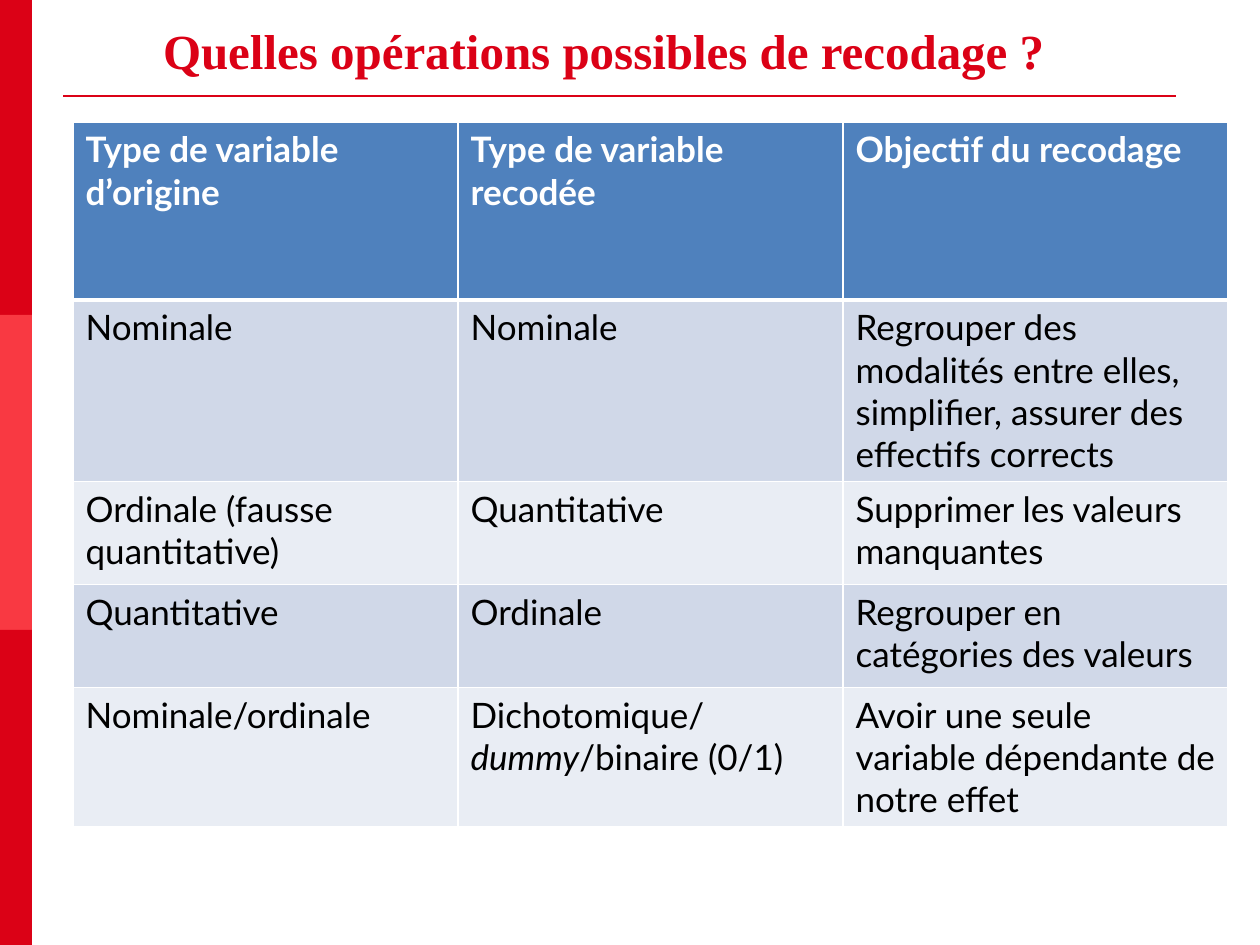
from lxml.etree import SubElement
from pptx import Presentation
from pptx.dml.color import RGBColor
from pptx.enum.shapes import MSO_CONNECTOR, MSO_SHAPE
from pptx.enum.text import MSO_ANCHOR, MSO_AUTO_SIZE, PP_ALIGN
from pptx.oxml.ns import qn
from pptx.util import Emu, Pt

RED = RGBColor(0xDB, 0x01, 0x16)
LIGHT_RED = RGBColor(0xF9, 0x39, 0x42)
BLUE = RGBColor(0x4F, 0x81, 0xBD)
BAND_DARK = RGBColor(0xD0, 0xD8, 0xE8)
BAND_LIGHT = RGBColor(0xE9, 0xED, 0xF4)
WHITE = RGBColor(0xFF, 0xFF, 0xFF)
BLACK = RGBColor(0, 0, 0)

TITLE_FONT = dict(name="Times New Roman", size=Pt(28), bold=True)
HEADER_FONT = dict(name="Lato", size=Pt(20), bold=True)
BODY_FONT = dict(name="Lato", size=Pt(20), bold=False)
TITLE_FRAME = dict(margin_left=0, margin_right=0, margin_top=0, margin_bottom=0,
                   vertical_anchor=MSO_ANCHOR.TOP, word_wrap=True,
                   auto_size=MSO_AUTO_SIZE.NONE)

ROW_HEIGHTS = (178, 180, 103, 103, 139)
RECODINGS = (
    ("Type de variable d’origine", "Type de variable recodée", "Objectif du recodage"),
    ("Nominale", "Nominale",
     "Regrouper des modalités entre elles, simplifier, assurer des effectifs corrects"),
    ("Ordinale (fausse quantitative)", "Quantitative", "Supprimer les valeurs manquantes"),
    ("Quantitative", "Ordinale", "Regrouper en catégories des valeurs"),
    ("Nominale/ordinale", ("Dichotomique/", "dummy", "/binaire (0/1)"),
     "Avoir une seule variable dépendante de notre effet"),
)


def px(length):
    return Emu(round(length * 914400 / 126))


def apply_format(target, values):
    for name, value in values.items():
        setattr(target, name, value)


def add_side_band(slide, left, top, width, height):
    colors = (RED, LIGHT_RED, RED)
    part_height = height // len(colors)
    for index, color in enumerate(colors):
        part = slide.shapes.add_shape(
            MSO_SHAPE.RECTANGLE, px(left), px(top + index * part_height),
            px(width), px(part_height))
        part.shadow.inherit = False
        part.fill.solid()
        part.fill.fore_color.rgb = color
        part.line.fill.background()


def add_heading(slide, left, top, width, height):
    title = slide.shapes.title
    apply_format(title, dict(left=px(left + 100), top=px(top),
                             width=px(936), height=px(height)))
    frame = title.text_frame
    apply_format(frame, TITLE_FRAME)
    frame.text = "Quelles opérations possibles de recodage ?"
    heading = frame.paragraphs[0]
    heading.alignment = PP_ALIGN.LEFT
    apply_format(heading.runs[0].font, TITLE_FONT)
    heading.runs[0].font.color.rgb = RED

    rule_top = px(top + 75)
    rule = slide.shapes.add_connector(
        MSO_CONNECTOR.STRAIGHT, px(left), rule_top, px(left + width), rule_top)
    rule.line.color.rgb = RED
    rule.line.width = Pt(1.5)
    SubElement(rule._element.spPr, qn("a:effectLst"))


def set_borders(cell, **widths):
    properties = cell._tc.get_or_add_tcPr()
    for side in "LRTB":
        border = SubElement(properties, qn(f"a:ln{side}"),
                            w=str(Pt(widths.get(side, 1))))
        fill = SubElement(border, qn("a:solidFill"))
        SubElement(fill, qn("a:srgbClr"), val=str(WHITE))


def fill_cell(cell, content, font, color, background):
    cell.fill.solid()
    cell.fill.fore_color.rgb = background
    pieces = (content,) if isinstance(content, str) else content
    for piece in pieces:
        run = cell.text_frame.paragraphs[0].add_run()
        run.text = piece
        apply_format(run.font, font)
        run.font.italic = piece == "dummy"
        run.font.color.rgb = color


def add_recoding_table(slide, left, top, width):
    column_count = len(RECODINGS[0])
    table = slide.shapes.add_table(
        len(RECODINGS), column_count, px(left), px(top),
        px(width), px(sum(ROW_HEIGHTS))).table
    for column in table.columns:
        column.width = px(width // column_count)
    for index, (height, recoding) in enumerate(zip(ROW_HEIGHTS, RECODINGS)):
        table.rows[index].height = px(height)
        if index == 0:
            style, borders = (HEADER_FONT, WHITE, BLUE), dict(B=3)
        else:
            band = BAND_DARK if index % 2 else BAND_LIGHT
            style, borders = (BODY_FONT, BLACK, band), dict(T=3 if index == 1 else 1)
        for cell, content in zip(table.rows[index].cells, recoding):
            set_borders(cell, **borders)
            fill_cell(cell, content, *style)


def main():
    presentation = Presentation()
    apply_format(presentation, dict(slide_width=px(1260), slide_height=px(945)))
    slide = presentation.slides.add_slide(presentation.slide_layouts[5])
    add_side_band(slide, 0, 0, 32, 945)
    add_heading(slide, 63, 21, 1113, 118)
    add_recoding_table(slide, 73, 122, 1155)
    presentation.save("out.pptx")


if __name__ == "__main__":
    main()
